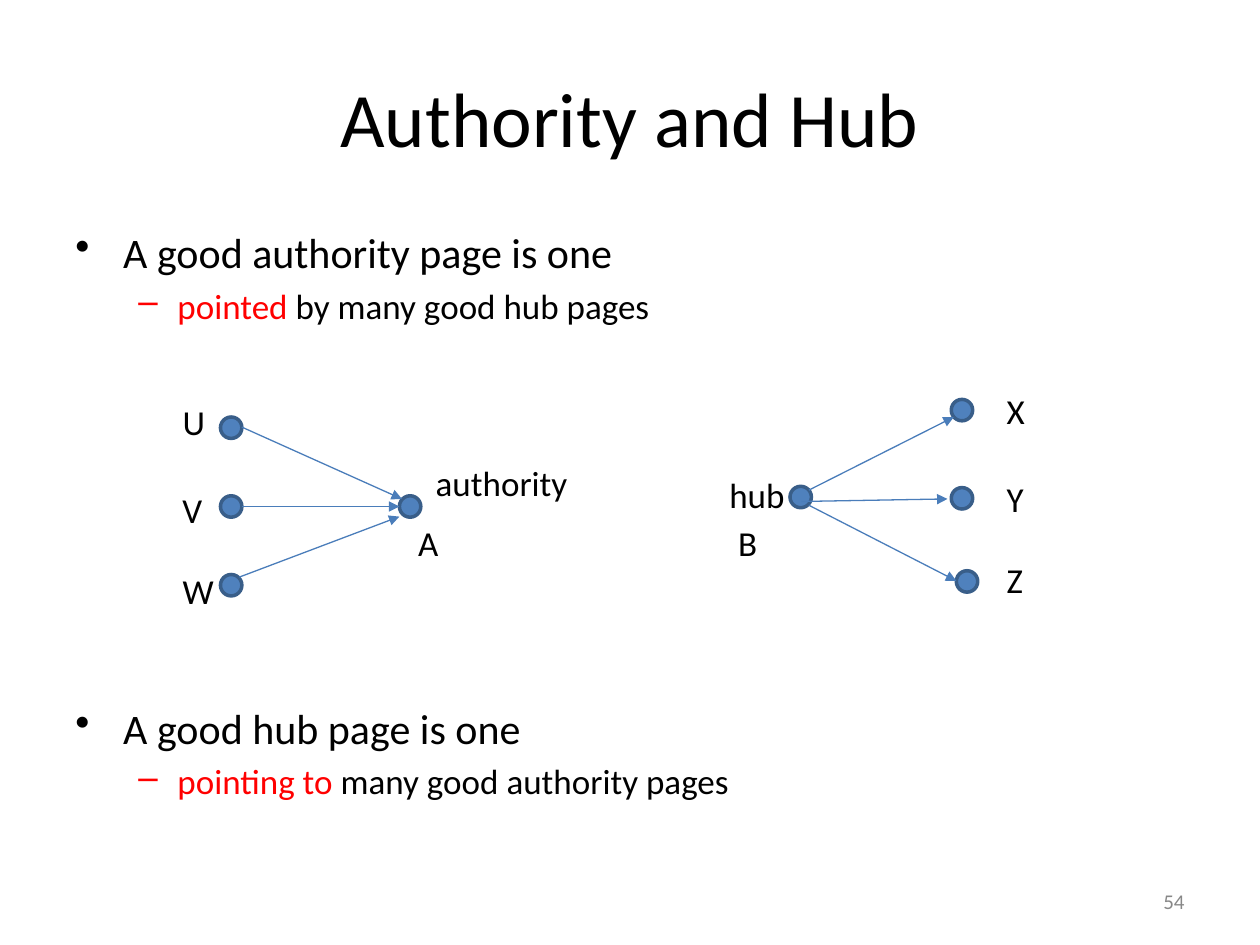
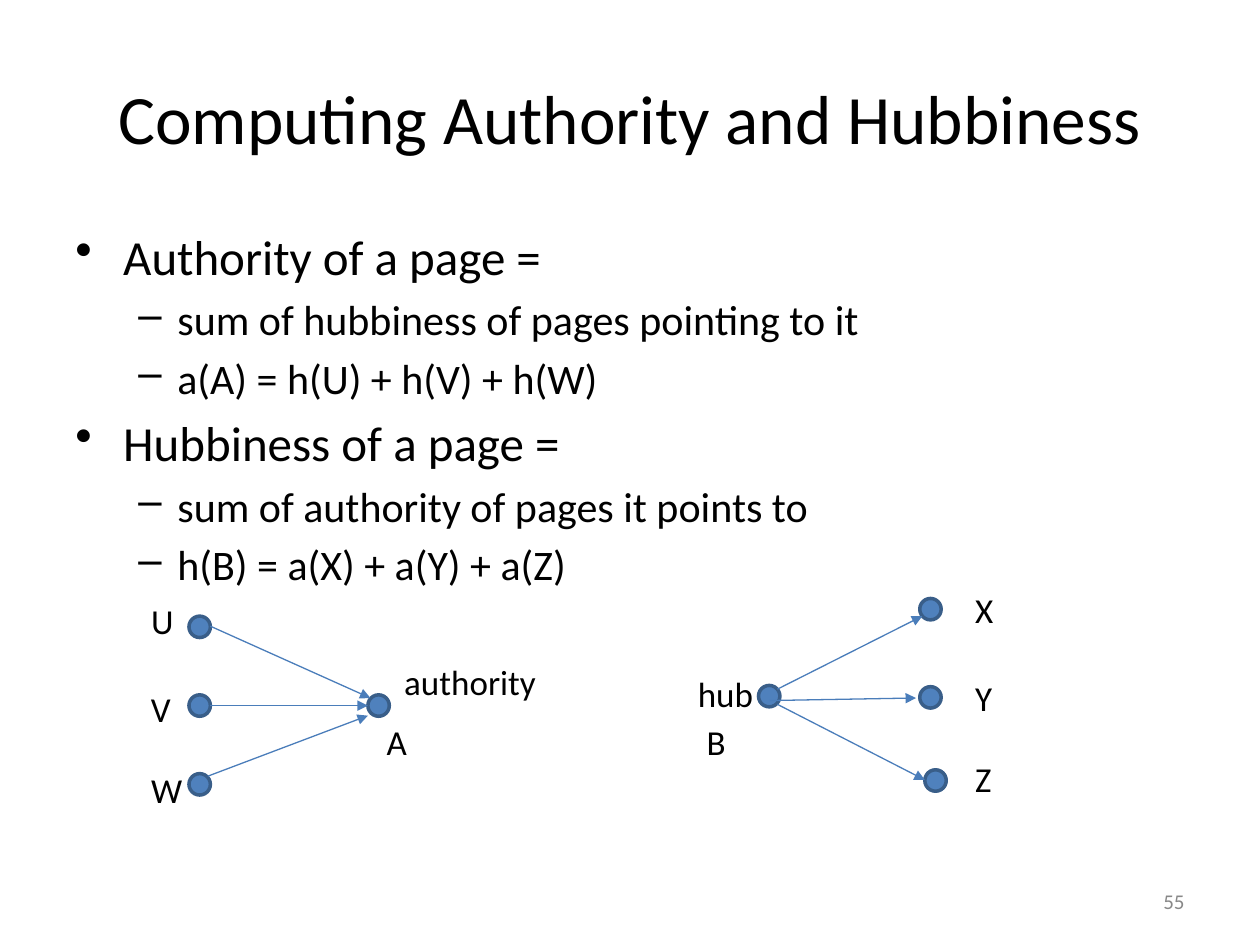
"""Build two slides on authority and hub pages with a shared link diagram."""
import dataclasses
import typing

import lxml.etree
import pptx
import pptx.dml.color
import pptx.enum.shapes
import pptx.enum.text
import pptx.oxml.ns
import pptx.util

COLORS = {
    "text": "000000",
    "accent": "FF0000",
    "number": "888888",
    "node": "4F81BD",
    "node_line": "395E89",
    "arrow": "4A7DBA",
}
FONT = "Calibri"
WIDTH, HEIGHT = pptx.util.Inches(10), pptx.util.Inches(7.5)
COLUMNS, ROWS = 100, 75
NODE_SIZE = 1.7
LABEL_HEIGHT = 4.4
LABEL_PT = 20
BULLETS = ("•", "–")
INDENTS = ((0.38, -0.38), (0.81, -0.31))


class Run(typing.NamedTuple):
    text: str
    color: str = "text"


class Box(typing.NamedTuple):
    col: float
    row: float
    cols: float
    rows: float


class Label(typing.NamedTuple):
    text: str
    col: float
    row: float
    cols: float


class Arrow(typing.NamedTuple):
    col: float
    row: float
    end_col: float
    end_row: float


@dataclasses.dataclass(frozen=True)
class Item:
    level: int
    runs: tuple[Run, ...]
    gap: float | None = None


@dataclasses.dataclass(frozen=True)
class Page:
    title: str
    title_pt: float
    number: str
    level_pts: tuple[float, float]
    items: tuple[Item, ...]
    diagram_col: float
    diagram_row: float


TITLE = Box(5, 3, 90, 12.5)
BODY = Box(5, 17.5, 90, 49.5)
NUMBER = Box(71.7, 69.5, 23.3, 4)

SOURCE_COL, AUTHORITY_COL = 4, 18.2
NODES = (
    *((SOURCE_COL, 2.7 + 6.25 * i) for i in range(3)),
    (AUTHORITY_COL, 8.95),
    (49.2, 8.2),
    (62, 1.3),
    (62, 8.3),
    (62.4, 14.9),
)
ARROWS = (
    Arrow(5.7, 3.5, 18.4, 9.2),
    Arrow(5.7, 9.8, 18.2, 9.8),
    Arrow(5.5, 15.4, 18.2, 10.6),
    Arrow(50.7, 8.5, 62.2, 2.7),
    Arrow(50.1, 9.4, 61.7, 9.2),
    Arrow(50.7, 9.7, 62.4, 15.7),
)
LABEL_ROWS = (0, 7, 13.4)
LABELS = (
    *(Label(t, 0, 0.9 + r, w) for t, r, w in zip("UVW", LABEL_ROWS, (3.8, 3.6, 4.5))),
    *(Label(t, 65.4, r, w) for t, r, w in zip("XYZ", LABEL_ROWS, (3.5, 3.4, 3.3))),
    Label("authority", 20.1, 5.7, 12.6),
    Label("hub", 43.4, 6.7, 6.4),
    Label("A", 18.7, 10.5, 3.6),
    Label("B", 44.1, 10.5, 3.5),
)

PAGES = (
    Page(
        "Authority and Hub", 44, "54", (24, 20),
        (
            Item(0, (Run("A good authority page is one"),)),
            Item(1, (Run("pointed ", "accent"), Run("by many good hub pages"))),
            Item(0, (Run("A good hub page is one"),), gap=215),
            Item(1, (Run("pointing to ", "accent"), Run("many good authority pages"))),
        ),
        13.5, 30.4,
    ),
    Page(
        "Computing Authority and Hubbiness", 39.6, "55", (28, 24),
        (
            Item(0, (Run("Authority of a page ="),)),
            Item(1, (Run("sum of hubbiness of pages pointing to it"),)),
            Item(1, (Run("a(A) = h(U) + h(V) + h(W)"),)),
            Item(0, (Run("Hubbiness of a page ="),)),
            Item(1, (Run("sum of authority of pages it points to"),)),
            Item(1, (Run("h(B) = a(X) + a(Y) + a(Z)"),)),
        ),
        11, 46.2,
    ),
)


def x(cols: float) -> int:
    return round(WIDTH * cols / COLUMNS)


def y(rows: float) -> int:
    return round(HEIGHT * rows / ROWS)


def place(box: Box) -> tuple[int, int, int, int]:
    return x(box.col), y(box.row), x(box.cols), y(box.rows)


def rgb(name: str) -> pptx.dml.color.RGBColor:
    return pptx.dml.color.RGBColor.from_string(COLORS[name])


def add_run(p: typing.Any, run: Run, size: float) -> None:
    r = p.add_run()
    r.text = run.text
    r.font.name = FONT
    r.font.size = pptx.util.Pt(size)
    r.font.color.rgb = rgb(run.color)


def add_box(s: typing.Any, box: Box, wrap: bool = True) -> typing.Any:
    tf = s.shapes.add_textbox(*place(box)).text_frame
    tf.word_wrap = wrap
    return tf


def add_title(s: typing.Any, page: Page) -> None:
    sp = s.shapes.title
    sp.left, sp.top, sp.width, sp.height = place(TITLE)
    tf = sp.text_frame
    tf.auto_size = pptx.enum.text.MSO_AUTO_SIZE.NONE
    tf.vertical_anchor = pptx.enum.text.MSO_ANCHOR.MIDDLE
    p = tf.paragraphs[0]
    p.alignment = pptx.enum.text.PP_ALIGN.CENTER
    add_run(p, Run(page.title), page.title_pt)


def set_bullet(p: typing.Any, item: Item) -> None:
    qn = pptx.oxml.ns.qn
    pPr = p._p.get_or_add_pPr()
    margin, indent = INDENTS[item.level]
    pPr.set("marL", str(pptx.util.Inches(margin)))
    pPr.set("indent", str(pptx.util.Inches(indent)))
    color = lxml.etree.SubElement(pPr, qn("a:buClr"))
    lxml.etree.SubElement(color, qn("a:srgbClr"), val=COLORS[item.runs[0].color])
    lxml.etree.SubElement(pPr, qn("a:buChar"), char=BULLETS[item.level])


def add_body(s: typing.Any, page: Page) -> None:
    tf = add_box(s, BODY)
    for i, item in enumerate(page.items):
        p = tf.add_paragraph() if i else tf.paragraphs[0]
        p.level = item.level
        set_bullet(p, item)
        size = page.level_pts[item.level]
        if i:
            p.space_before = pptx.util.Pt(item.gap or 0.2 * size)
        for run in item.runs:
            add_run(p, run, size)


def add_number(s: typing.Any, page: Page) -> None:
    tf = add_box(s, NUMBER)
    tf.vertical_anchor = pptx.enum.text.MSO_ANCHOR.MIDDLE
    p = tf.paragraphs[0]
    p.alignment = pptx.enum.text.PP_ALIGN.RIGHT
    add_run(p, Run(page.number, "number"), 12)


def add_node(s: typing.Any, col: float, row: float) -> None:
    oval = pptx.enum.shapes.MSO_SHAPE.OVAL
    sp = s.shapes.add_shape(oval, *place(Box(col, row, NODE_SIZE, NODE_SIZE)))
    sp.shadow.inherit = False
    sp.fill.solid()
    sp.fill.fore_color.rgb = rgb("node")
    sp.line.color.rgb = rgb("node_line")
    sp.line.width = pptx.util.Pt(2)


def add_arrow(s: typing.Any, arrow: Arrow, col: float, row: float) -> None:
    qn = pptx.oxml.ns.qn
    c = s.shapes.add_connector(
        pptx.enum.shapes.MSO_CONNECTOR.STRAIGHT,
        x(col + arrow.col), y(row + arrow.row),
        x(col + arrow.end_col), y(row + arrow.end_row),
    )
    c.line.color.rgb = rgb("arrow")
    c.line.width = pptx.util.Pt(0.75)
    spPr = c.element.spPr
    lxml.etree.SubElement(spPr.find(qn("a:ln")), qn("a:tailEnd"), type="triangle")
    lxml.etree.SubElement(spPr, qn("a:effectLst"))


def add_diagram(s: typing.Any, col: float, row: float) -> None:
    for node_col, node_row in NODES:
        add_node(s, col + node_col, row + node_row)
    for arrow in ARROWS:
        add_arrow(s, arrow, col, row)
    for label in LABELS:
        box = Box(col + label.col, row + label.row, label.cols, LABEL_HEIGHT)
        tf = add_box(s, box, wrap=False)
        tf.auto_size = pptx.enum.text.MSO_AUTO_SIZE.SHAPE_TO_FIT_TEXT
        add_run(tf.paragraphs[0], Run(label.text), LABEL_PT)


def main() -> None:
    prs = pptx.Presentation()
    prs.slide_width, prs.slide_height = WIDTH, HEIGHT
    layout = prs.slide_layouts.get_by_name("Title Only")
    for page in PAGES:
        s = prs.slides.add_slide(layout)
        add_title(s, page)
        add_body(s, page)
        add_number(s, page)
        add_diagram(s, page.diagram_col, page.diagram_row)
    prs.save("out.pptx")


if __name__ == "__main__":
    main()
